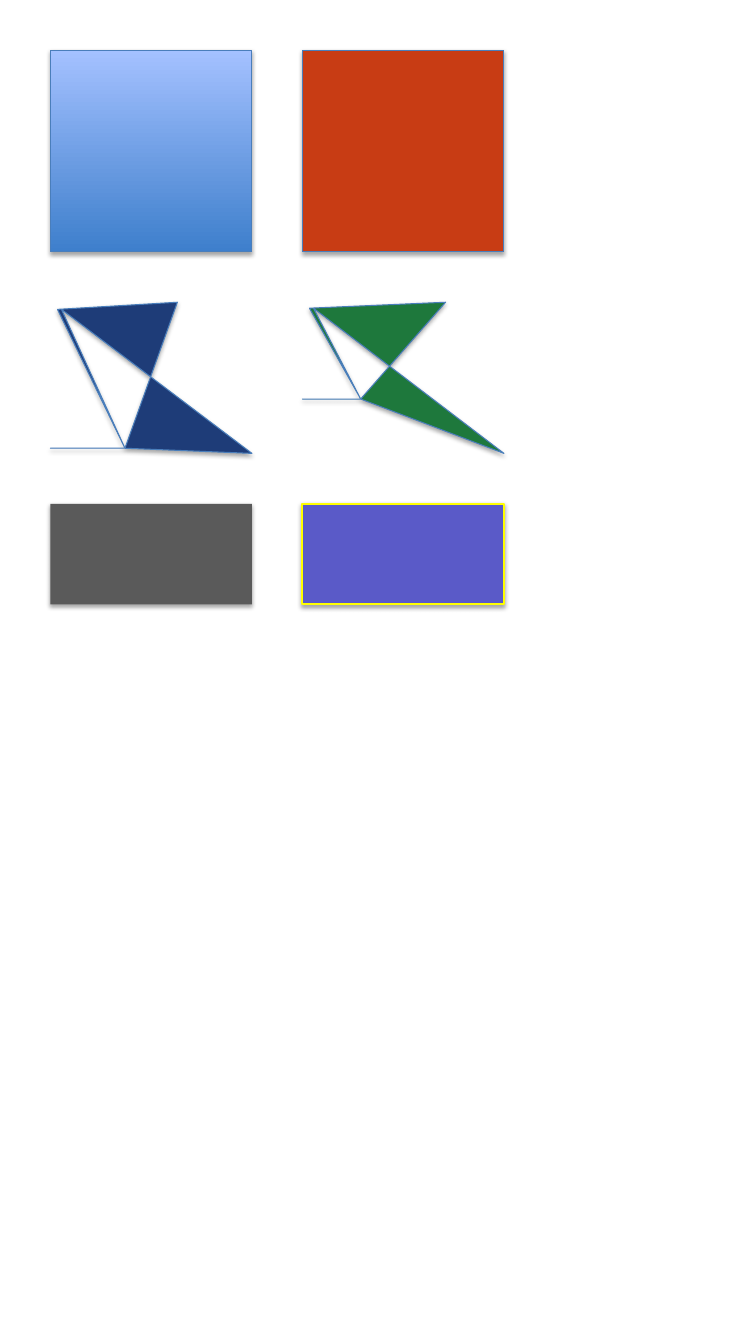
from dataclasses import dataclass

from pptx import Presentation
from pptx.dml.color import RGBColor as Rgb
from pptx.enum.shapes import MSO_SHAPE as Preset
from pptx.util import Cm, Pt

COLORS = {
    "sky_deep": "3E7FCC",
    "sky_light": "A4C1FF",
    "red": "C83C14",
    "navy": "1E3C78",
    "green": "1E783C",
    "gray": "5A5A5A",
    "violet": "5A5AC8",
    "outline": "4A7EBB",
    "yellow": "FFFF00",
}
MARGIN = 1.27
TILE_WIDTH = 5.08
COLUMN_STEP = TILE_WIDTH + MARGIN
SQUARE_TOP, FOLD_TOP, BAND_TOP = 1.27, 7.62, 12.7
SQUARE_HEIGHT, BAND_HEIGHT = 5.08, 2.54


@dataclass(frozen=True)
class Paint:
    fills: tuple[str, ...]
    line: str | None = "outline"
    weight: float = 0.75


@dataclass(frozen=True)
class Tile:
    column: int
    top: float
    height: float
    paint: Paint


@dataclass(frozen=True)
class Fold:
    column: int
    top: float
    points: tuple[tuple[float, float], ...]
    paint: Paint


TILES = (
    Tile(0, SQUARE_TOP, SQUARE_HEIGHT, Paint(("sky_deep", "sky_light"))),
    Tile(1, SQUARE_TOP, SQUARE_HEIGHT, Paint(("red",))),
    Tile(0, BAND_TOP, BAND_HEIGHT, Paint(("gray",), line=None)),
    Tile(1, BAND_TOP, BAND_HEIGHT, Paint(("violet",), "yellow", 1.45)),
)
FOLDS = (
    Fold(0, FOLD_TOP, ((0, 3.68), (1.88, 3.68), (0.18, 0.18), (3.2, 0), (1.88, 3.68),
                       (0.28, 0.18), (5.08, 3.81), (1.88, 3.68)), Paint(("navy",))),
    Fold(1, FOLD_TOP, ((0, 2.44), (1.47, 2.44), (0.18, 0.15), (3.61, 0), (1.47, 2.44),
                       (0.28, 0.15), (5.08, 3.81), (1.47, 2.44)), Paint(("green",))),
)


def color(name: str) -> Rgb:
    return Rgb.from_string(COLORS[name])


def column_left(column: int) -> float:
    return MARGIN + column * COLUMN_STEP


def apply_paint(shape, paint: Paint) -> None:
    if len(paint.fills) > 1:
        shape.fill.gradient()
        shape.fill.gradient_angle = 90
        for stop, name in zip(shape.fill.gradient_stops, paint.fills):
            stop.color.rgb = color(name)
    else:
        shape.fill.solid()
        shape.fill.fore_color.rgb = color(paint.fills[0])
    if paint.line is None:
        shape.line.fill.background()
    else:
        shape.line.color.rgb = color(paint.line)
        shape.line.width = Pt(paint.weight)


def draw_tile(shapes, tile: Tile) -> None:
    square = shapes.add_shape(Preset.RECTANGLE, Cm(column_left(tile.column)), Cm(tile.top),
                              Cm(TILE_WIDTH), Cm(tile.height))
    apply_paint(square, tile.paint)


def draw_fold(shapes, fold: Fold) -> None:
    left = column_left(fold.column)
    start, *corners = [(Cm(left + x), Cm(fold.top + y)) for x, y in fold.points]
    outline = shapes.build_freeform(*start)
    outline.add_line_segments(corners, close=True)
    apply_paint(outline.convert_to_shape(), fold.paint)


def main() -> None:
    deck = Presentation()
    deck.slide_width, deck.slide_height = Cm(19.05), Cm(33.88)
    shapes = deck.slides.add_slide(deck.slide_layouts[6]).shapes
    for tile in TILES[:2]:
        draw_tile(shapes, tile)
    for fold in FOLDS:
        draw_fold(shapes, fold)
    for tile in TILES[2:]:
        draw_tile(shapes, tile)
    deck.save("out.pptx")


if __name__ == "__main__":
    main()
